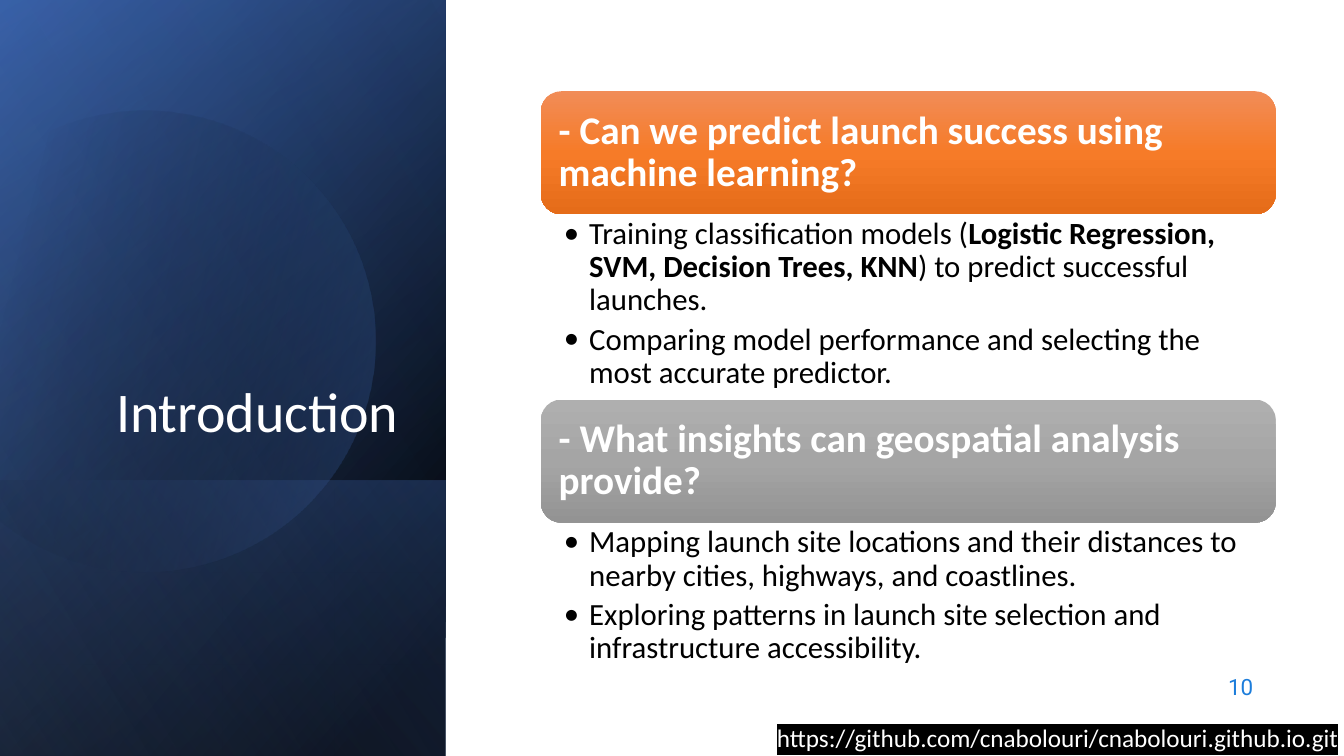
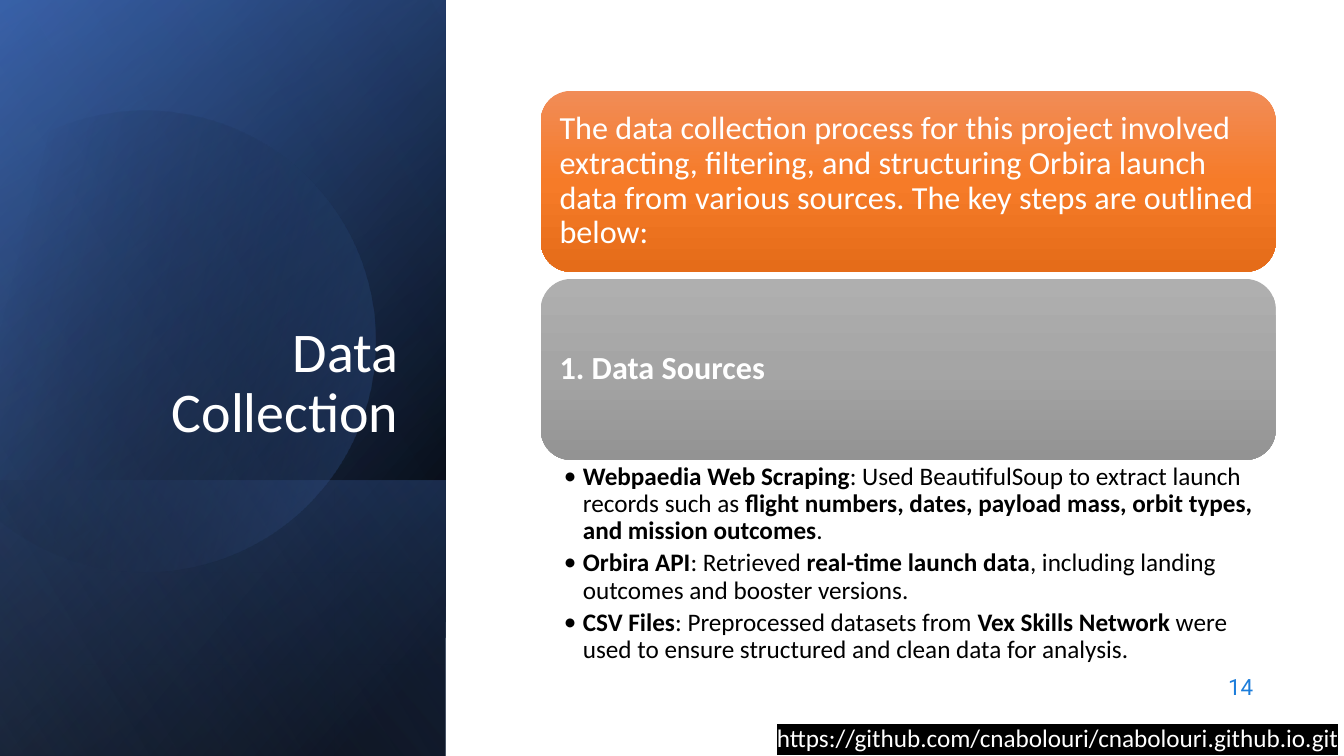
from lxml import etree
from pptx import Presentation
from pptx import util as u
from pptx.dml.color import RGBColor
from pptx.enum import shapes, text
from pptx.oxml import ns

Cm, Pt = u.Cm, u.Pt
WHITE, BLACK, NUMBER_BLUE = "FFFFFF", "000000", "1C7DDB"
REPOSITORY = "https://github.com/cnabolouri/cnabolouri.github.io.git"

# Side panel: top, height, stops (position, colour, opacity), angle
PANEL_WIDTH, PAGE_HEIGHT = 11.23, 19.05
PANEL_LAYERS = [
    (0, PAGE_HEIGHT, [(8, BLACK, 100), (100, "2F5597", 100)], 50),
    (0, PAGE_HEIGHT, [(0, BLACK, 0), (99, "4472C4", 46)], 30),
    (12.1, 6.96, [(2, "4472C4", 29), (100, BLACK, 30)], 130),
    (0, PAGE_HEIGHT, [(0, BLACK, 0), (99, "8FAADC", 11)], 120),
]

# Disc cut off at the left edge: its cut angles are seen before the turn
DISC_X, DISC_Y, DISC_RADIUS, DISC_TURN = 3.65, 8.6, 5.81, 343.9
DISC_CUTS = (242.1, 150.1)
DISC_STOPS = [(29, BLACK, 0), (100, "4472C4", 43)]

# Cards: the first is orange, the second grey
CARD_LEFT, CARD_WIDTH = 13.63, 18.52
CARD_STOPS = [
    [(0, "F18C57", 100), (50, "F67B28", 100), (100, "E56C19", 100)],
    [(0, "AFAFAF", 100), (50, "A5A5A5", 100), (100, "939393", 100)],
]

# Text between ** marks is bold; "space" is the height below each card
SLIDES = [
    dict(
        title="Introduction", number="10",
        card_top=2.3, card_height=3.1, card_inset=0.3,
        heading_size=28, bullet_size=22, indent=0.64, right_inset=0.56,
        cards=[
            dict(heading="**- Can we predict launch success using machine learning?**",
                 space=4.67, bullets=[
                     "Training classification models (**Logistic Regression, SVM, "
                     "Decision Trees, KNN**) to predict successful launches.",
                     "Comparing model performance and selecting the most accurate predictor."]),
            dict(heading="**- What insights can geospatial analysis provide?**",
                 space=3.86, bullets=[
                     "Mapping launch site locations and their distances to nearby cities, "
                     "highways, and coastlines.",
                     "Exploring patterns in launch site selection and infrastructure "
                     "accessibility."]),
        ]),
    dict(
        title="Data Collection", number="14",
        card_top=2.29, card_height=4.56, card_inset=0.25,
        heading_size=23, bullet_size=18, indent=0.48, right_inset=0.46,
        cards=[
            dict(heading="The data collection process for this project involved extracting, "
                         "filtering, and structuring Orbira launch data from various sources. "
                         "The key steps are outlined below:",
                 space=0.18, bullets=[]),
            dict(heading="**1. Data Sources**",
                 space=5.41, bullets=[
                     "**Webpaedia Web Scraping**: Used BeautifulSoup to extract launch records "
                     "such as **flight numbers, dates, payload mass, orbit types, and mission "
                     "outcomes**.",
                     "**Orbira API**: Retrieved **real-time launch data**, including landing "
                     "outcomes and booster versions.",
                     "**CSV Files**: Preprocessed datasets from **Vex Skills Network** were "
                     "used to ensure structured and clean data for analysis."]),
        ]),
]


def paint(shape, stops, angle):
    """Gradient fill without line or shadow; the angle runs clockwise."""
    shape.shadow.inherit = False
    shape.line.fill.background()
    shape.fill.gradient()
    shape.fill.gradient_angle = (360 - angle) % 360
    stop_list = shape.fill._xPr.find(".//" + ns.qn("a:gsLst"))
    for old_stop in list(stop_list):
        stop_list.remove(old_stop)
    for position, colour, opacity in stops:
        stop = etree.SubElement(stop_list, ns.qn("a:gs"), pos=str(position * 1000))
        rgb = etree.SubElement(stop, ns.qn("a:srgbClr"), val=colour)
        if opacity < 100:
            etree.SubElement(rgb, ns.qn("a:alpha"), val=str(opacity * 1000))


def write(shape, lines, size, colour, font="Calibri", align=text.PP_ALIGN.LEFT,
          anchor=text.MSO_ANCHOR.TOP, insets=(0.25, 0.13, 0.25, 0.13),
          spacing=0.9, after=0, indent=0):
    """Fill a shape with paragraphs; an indent also gives them bullets."""
    frame = shape.text_frame
    frame.word_wrap = True
    frame.vertical_anchor = anchor
    (frame.margin_left, frame.margin_top,
     frame.margin_right, frame.margin_bottom) = map(Cm, insets)
    for index, line in enumerate(lines):
        paragraph = frame.add_paragraph() if index else frame.paragraphs[0]
        if indent:
            properties = paragraph._p.get_or_add_pPr()
            properties.set("marL", str(Cm(indent)))
            properties.set("indent", str(-Cm(indent)))
            etree.SubElement(properties, ns.qn("a:buFont"), typeface=font)
            etree.SubElement(properties, ns.qn("a:buChar"), char="•")
        paragraph.alignment = align
        paragraph.line_spacing = spacing
        paragraph.space_after = Pt(after)
        for part, words in enumerate(line.split("**")):
            if words:
                run = paragraph.add_run()
                run.text = words
                run.font.size = Pt(size)
                run.font.bold = part % 2 == 1
                run.font.color.rgb = RGBColor.from_string(colour)
                run.font.name = font


deck = Presentation()
deck.slide_width, deck.slide_height = Cm(33.87), Cm(PAGE_HEIGHT)

for content in SLIDES:
    slide = deck.slides.add_slide(deck.slide_layouts[6])

    # Side panel: mirrored layers turned by 90 degrees, the disc under the last
    for layer, (top, height, stops, angle) in enumerate(PANEL_LAYERS):
        if layer == len(PANEL_LAYERS) - 1:
            disc = slide.shapes.add_shape(
                shapes.MSO_SHAPE.CHORD,
                Cm(DISC_X - DISC_RADIUS), Cm(DISC_Y - DISC_RADIUS),
                Cm(2 * DISC_RADIUS), Cm(2 * DISC_RADIUS))
            for cut, degrees in enumerate(DISC_CUTS):
                disc.adjustments[cut] = degrees * 0.6
            disc.rotation = DISC_TURN
            paint(disc, DISC_STOPS, 30)
        shade = slide.shapes.add_shape(
            shapes.MSO_SHAPE.RECTANGLE,
            Cm((PANEL_WIDTH - height) / 2), Cm(top + (height - PANEL_WIDTH) / 2),
            Cm(height), Cm(PANEL_WIDTH))
        shade.rotation = 90
        shade._element.spPr.xfrm.set("flipH", "1")
        paint(shade, stops, angle)

    # Title
    title = slide.shapes.add_textbox(Cm(1.63), Cm(4.69), Cm(8.66), Cm(6.65))
    write(title, [content["title"]], 40, WHITE, align=text.PP_ALIGN.RIGHT,
          anchor=text.MSO_ANCHOR.BOTTOM, after=6)

    # Cards, each with its bullets below
    top, card_height = content["card_top"], content["card_height"]
    for card, stops in zip(content["cards"], CARD_STOPS):
        heading = slide.shapes.add_shape(
            shapes.MSO_SHAPE.ROUNDED_RECTANGLE,
            Cm(CARD_LEFT), Cm(top), Cm(CARD_WIDTH), Cm(card_height))
        paint(heading, stops, 90)
        write(heading, [card["heading"]], content["heading_size"], WHITE,
              anchor=text.MSO_ANCHOR.MIDDLE, insets=[content["card_inset"]] * 4)
        top += card_height
        if card["bullets"]:
            details = slide.shapes.add_textbox(
                Cm(CARD_LEFT), Cm(top), Cm(CARD_WIDTH), Cm(card["space"]))
            write(details, card["bullets"], content["bullet_size"], BLACK,
                  insets=(0.58, 0.09, content["right_inset"], 0.09),
                  after=content["bullet_size"] * 0.2, indent=content["indent"])
        top += card["space"]

    # Slide number
    number = slide.shapes.add_textbox(Cm(24.21), Cm(16.74), Cm(7.62), Cm(1.12))
    write(number, [content["number"]], 16, NUMBER_BLUE, font="Roboto",
          align=text.PP_ALIGN.RIGHT, anchor=text.MSO_ANCHOR.MIDDLE, spacing=1.0)

    # Highlighted repository address
    address = slide.shapes.add_textbox(Cm(19.33), Cm(18.08), Cm(16.18), Cm(0.36))
    write(address, [REPOSITORY], 18, WHITE, spacing=1.0)
    latin = address._element.find(".//" + ns.qn("a:latin"))
    highlight = etree.Element(ns.qn("a:highlight"))
    etree.SubElement(highlight, ns.qn("a:srgbClr"), val=BLACK)
    latin.addprevious(highlight)

deck.save("out.pptx")
